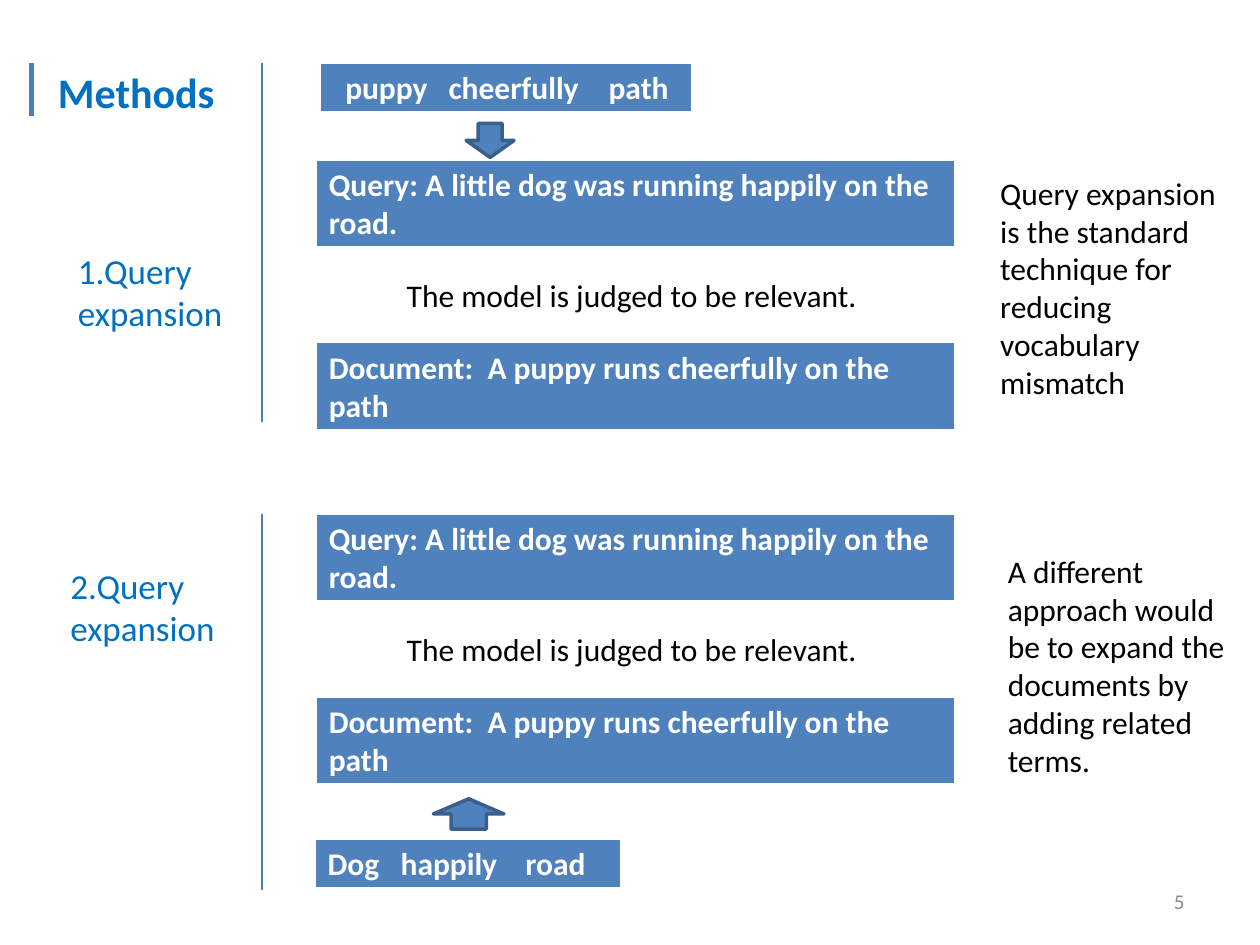
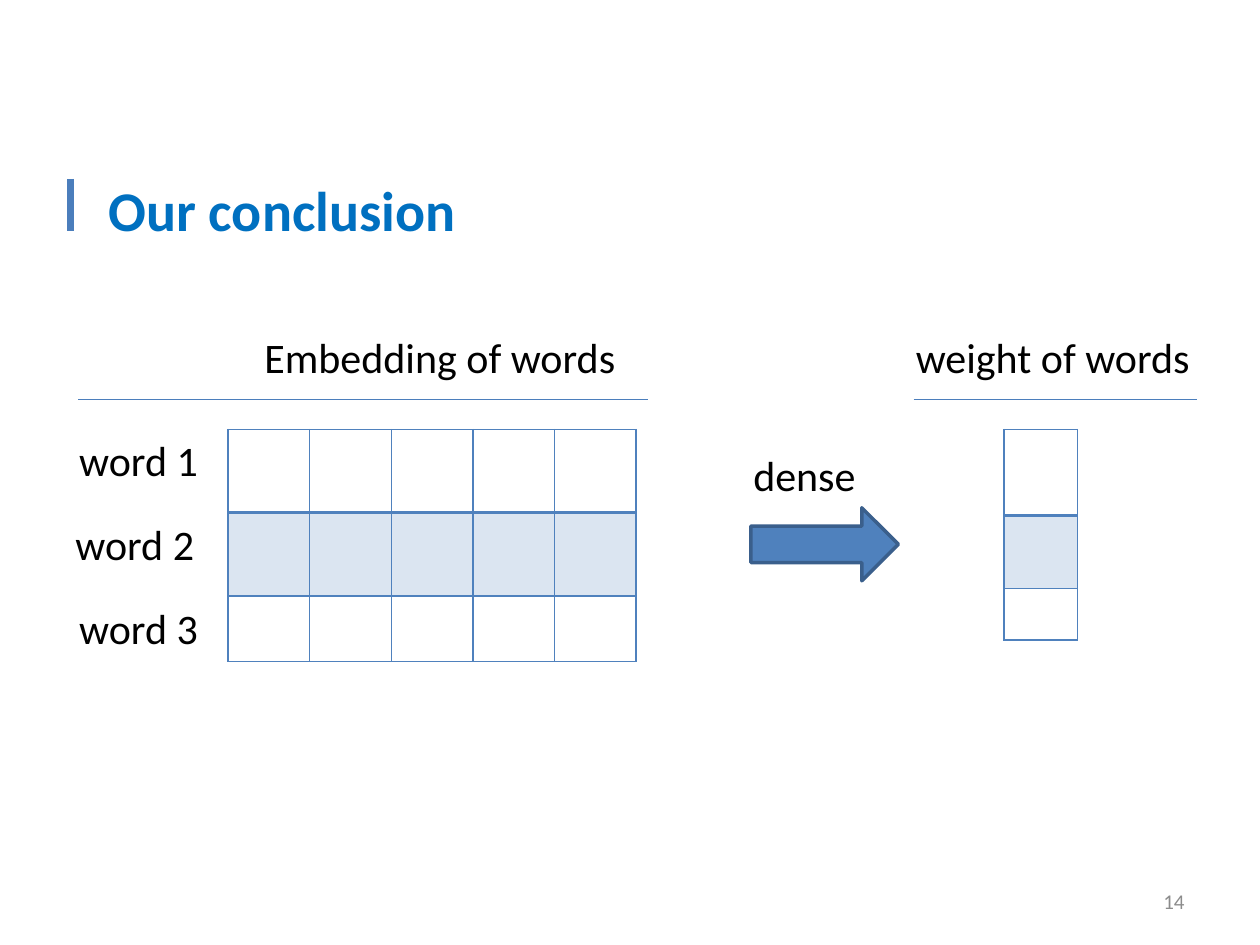
from dataclasses import dataclass

from lxml import etree
from pptx import Presentation
from pptx.dml.color import RGBColor
from pptx.enum.shapes import MSO_CONNECTOR, MSO_SHAPE
from pptx.enum.text import MSO_ANCHOR, MSO_AUTO_SIZE, PP_ALIGN
from pptx.oxml.ns import qn
from pptx.util import Inches, Pt

STRAIGHT = MSO_CONNECTOR.STRAIGHT
DOWN, UP, RIGHT = MSO_SHAPE.DOWN_ARROW, MSO_SHAPE.UP_ARROW, MSO_SHAPE.RIGHT_ARROW
TOP, MIDDLE = MSO_ANCHOR.TOP, MSO_ANCHOR.MIDDLE
ALIGN_LEFT, ALIGN_RIGHT = PP_ALIGN.LEFT, PP_ALIGN.RIGHT
NO_AUTOFIT = MSO_AUTO_SIZE.NONE
TITLE_ONLY = 5
GRID_COLUMNS, GRID_ROWS = 100, 75


@dataclass(frozen=True)
class Theme:
    font: str = "Calibri"
    heading: str = "0070C0"
    text: str = "000000"
    light: str = "FFFFFF"
    muted: str = "8C8C8C"
    accent: str = "4F81BD"
    rule: str = "4B7EBC"
    outline: str = "3A5F8C"
    tint: int = 20
    number_size: int = 12
    body_size: int = 18
    label_size: int = 20
    large_size: int = 24
    title_size: int = 32
    thin: float = 0.75
    arrow_line: float = 2


def apply(target, values):
    for name, value in values.items():
        setattr(target, name, value)


class Deck:
    """Holds the theme and the current slide; positions are grid columns and rows."""

    def __init__(self, theme):
        self.theme = theme
        self.presentation = Presentation()
        self.presentation.slide_width = Inches(10)
        self.presentation.slide_height = Inches(7.5)
        self.slide = None

    def x(self, columns):
        return round(self.presentation.slide_width * columns / GRID_COLUMNS)

    def y(self, rows):
        return round(self.presentation.slide_height * rows / GRID_ROWS)

    def place(self, box):
        left, top, width, height = box
        return self.x(left), self.y(top), self.x(width), self.y(height)

    def add_words(self, frame, text, size, color, bold=False, align=ALIGN_LEFT):
        paragraph = frame.paragraphs[0]
        paragraph.alignment = align
        run = paragraph.add_run()
        run.text = text
        apply(run.font, {"name": self.theme.font, "size": Pt(size), "bold": bold})
        run.font.color.rgb = RGBColor.from_string(color)
        return paragraph

    def add_slide(self, title, title_box, title_size, bar, bar_width, number):
        """Start a slide with its title, accent bar and page number."""
        layout = self.presentation.slide_layouts[TITLE_ONLY]
        self.slide = self.presentation.slides.add_slide(layout)
        shape = self.slide.shapes.title
        apply(shape, dict(zip(("left", "top", "width", "height"), self.place(title_box))))
        apply(shape.text_frame, {"vertical_anchor": TOP, "auto_size": NO_AUTOFIT,
                                 "word_wrap": True})
        self.add_words(shape.text_frame, title, title_size, self.theme.heading, bold=True)
        self.line(*bar, bar_width)
        self.text(number, (71.7, 69.5, 23.3, 4), self.theme.number_size,
                  self.theme.muted, ALIGN_RIGHT, MIDDLE)

    def text(self, text, box, size, color=None, align=ALIGN_LEFT, anchor=TOP, wrap=True):
        frame = self.slide.shapes.add_textbox(*self.place(box)).text_frame
        apply(frame, {"word_wrap": wrap, "vertical_anchor": anchor})
        self.add_words(frame, text, size, color or self.theme.text, align=align)

    def line(self, start, end, width=None):
        connector = self.slide.shapes.add_connector(
            STRAIGHT, self.x(start[0]), self.y(start[1]), self.x(end[0]), self.y(end[1]))
        connector.line.color.rgb = RGBColor.from_string(self.theme.rule)
        connector.line.width = Pt(width or self.theme.thin)
        etree.SubElement(connector._element.spPr, qn("a:effectLst"))

    def arrow(self, kind, box):
        shape = self.slide.shapes.add_shape(kind, *self.place(box))
        shape.shadow.inherit = False
        shape.fill.solid()
        shape.fill.fore_color.rgb = RGBColor.from_string(self.theme.accent)
        shape.line.color.rgb = RGBColor.from_string(self.theme.outline)
        shape.line.width = Pt(self.theme.arrow_line)

    def table(self, left, top, column_widths, row_heights):
        box = left, top, sum(column_widths), sum(row_heights)
        table = self.slide.shapes.add_table(
            len(row_heights), len(column_widths), *self.place(box)).table
        apply(table, {"first_row": False, "horz_banding": False})
        for column, width in zip(table.columns, column_widths):
            column.width = self.x(width)
        for row, height in zip(table.rows, row_heights):
            row.height = self.y(height)
        return table

    def borders(self, cell, color, top=1, bottom=1):
        properties = cell._tc.get_or_add_tcPr()
        widths = {"lnL": 1, "lnR": 1, "lnT": top, "lnB": bottom}
        for index, (side, width) in enumerate(widths.items()):
            border = etree.Element(qn(f"a:{side}"), w=str(Pt(width)))
            fill = etree.SubElement(border, qn("a:solidFill"))
            etree.SubElement(fill, qn("a:srgbClr"), val=color)
            properties.insert(index, border)

    def banner(self, text, box, tabs=(), indent=1):
        """Add a one-cell table; tabs are columns counted from the text's start."""
        left, top, width, height = box
        cell = self.table(left, top, [width], [height]).cell(0, 0)
        cell.fill.solid()
        cell.fill.fore_color.rgb = RGBColor.from_string(self.theme.accent)
        self.borders(cell, self.theme.light, bottom=3)
        cell.margin_left = self.x(indent)
        paragraph = self.add_words(cell.text_frame, text, self.theme.body_size,
                                   self.theme.light, bold=True)
        if tabs:
            stops = etree.SubElement(paragraph._p.get_or_add_pPr(), qn("a:tabLst"))
            for tab in tabs:
                etree.SubElement(stops, qn("a:tab"), pos=str(self.x(tab)), algn="l")

    def matrix(self, left, top, column_widths, row_heights):
        """Add an empty grid whose second row is tinted."""
        table = self.table(left, top, column_widths, row_heights)
        for row_index, row in enumerate(table.rows):
            for cell in row.cells:
                if row_index == 1:
                    cell.fill.solid()
                    cell.fill.fore_color.rgb = RGBColor.from_string(self.theme.accent)
                    color = cell._tc.tcPr.find(f".//{qn('a:srgbClr')}")
                    etree.SubElement(color, qn("a:alpha"), val=str(self.theme.tint * 1000))
                else:
                    cell.fill.background()
                self.borders(cell, self.theme.accent, top=2 if row_index == 1 else 1,
                             bottom=2 if row_index == 0 else 1)


def build_methods(deck):
    theme = deck.theme
    deck.add_slide("Methods", (3.6, 4.8, 16.3, 5), theme.large_size,
                   ((2.5, 5), (2.5, 9.2)), 3, "5")
    methods = [
        (12.7, "1.Query expansion", (5.2, 19.3, 14.2, 7.7), (5, 33.5),
         "Query expansion is the standard technique for reducing vocabulary mismatch",
         (78.4, 13.3, 20, 19.2)),
        (40.8, "2.Query expansion", (4.6, 44.3, 15.2, 7.7), (40.8, 70.6),
         "A different approach would be to expand the documents by adding related terms.",
         (79, 43.3, 21, 19.2)),
    ]
    for top, label, label_box, (rule_top, rule_bottom), note, note_box in methods:
        deck.text(label, label_box, theme.label_size, theme.heading)
        deck.line((20.8, rule_top), (20.8, rule_bottom))
        deck.banner("Query: A little dog was running happily on the road.",
                    (25.1, top, 50.7, 7))
        deck.text("The model is judged to be relevant.",
                  (31.3, top + 8.7, 39.6, 4), theme.body_size, wrap=False)
        deck.banner("Document:  A puppy runs cheerfully on the path",
                    (25.1, top + 14.5, 50.7, 7))
        deck.text(note, note_box, theme.body_size)
    deck.banner("puppy\tcheerfully\tpath", (25.4, 5, 29.5, 4), (8.2, 20.9), indent=2)
    deck.arrow(DOWN, (37, 9.8, 3.8, 2.7))
    deck.banner("Dog\thappily\troad", (25, 66.6, 24.3, 4), (5.8, 15.7))
    deck.arrow(UP, (34.4, 63.4, 5.6, 2.4))


def build_conclusion(deck):
    theme = deck.theme
    deck.add_slide("Our conclusion", (7.6, 13.4, 34, 6.4), theme.title_size,
                   ((5.6, 14.2), (5.6, 18.3)), 4.5, "14")
    deck.matrix(18.1, 34.1, [6.48] * 5, [6.6, 6.6, 5.2])
    deck.matrix(79.7, 34.1, [5.8], [6.8, 5.8, 4.1])
    deck.arrow(RIGHT, (59.6, 40.3, 11.7, 5.8))
    for index, left in enumerate((5.3, 5, 5.3)):
        deck.text(f"word {index + 1}", (left, 34 + 6.65 * index, 19.9, 5), theme.large_size)
    for heading, left, width, rule_left, rule_right in (
            ("Embedding of words", 20, 34.3, 6.2, 51.4),
            ("weight of words", 71.7, 24.2, 72.5, 95)):
        deck.text(heading, (left, 25.8, width, 5), theme.large_size)
        deck.line((rule_left, 31.7), (rule_right, 31.7))
    deck.text("dense", (58.8, 35.2, 11.2, 5), theme.large_size)


def main():
    deck = Deck(Theme())
    build_methods(deck)
    build_conclusion(deck)
    deck.presentation.save("out.pptx")


if __name__ == "__main__":
    main()
